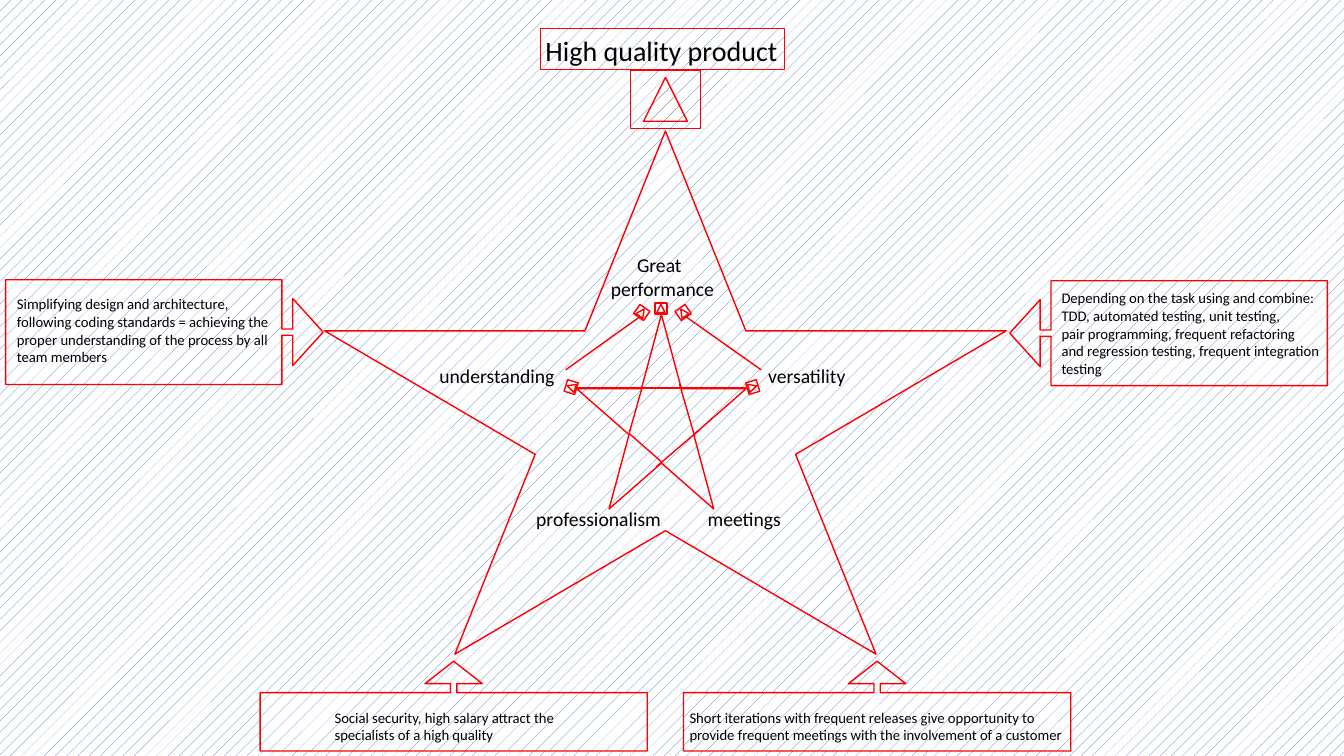
import dataclasses

import lxml.etree
import pptx
import pptx.dml.color
import pptx.enum.dml
import pptx.enum.shapes
import pptx.enum.text
import pptx.oxml.ns
import pptx.util

Inches = pptx.util.Inches
Kind = pptx.enum.shapes.MSO_SHAPE
Pattern = pptx.enum.dml.MSO_PATTERN
RGB = pptx.dml.color.RGBColor


@dataclasses.dataclass(frozen=True)
class Theme:
    """Colours, font and sizes of the slide."""
    red: RGB = RGB(0xFF, 0, 0)
    blue: RGB = RGB(0x44, 0x72, 0xC4)
    white: RGB = RGB(0xFF, 0xFF, 0xFF)
    black: RGB = RGB(0, 0, 0)
    font: str = "Calibri"
    head: float = 20
    label: float = 14
    note: float = 10.5
    line: float = 1


THEME = Theme()


def hatch(fill, kind):
    """Give a fill the blue-on-white pattern."""
    fill.patterned()
    fill.pattern = kind
    fill.fore_color.rgb = THEME.blue
    fill.back_color.rgb = THEME.white


def outline(line):
    """Draw a line in thin red."""
    line.color.rgb = THEME.red
    line.width = pptx.util.Pt(THEME.line)


def draw(slide, kind, box, turn=0, filled=True, adjust=()):
    """Add a red preset shape, hatched or hollow."""
    shape = slide.shapes.add_shape(kind, *map(Inches, box))
    shape.shadow.inherit = False
    shape.rotation = turn
    for i, value in enumerate(adjust):
        shape.adjustments[i] = value
    if filled:
        hatch(shape.fill, Pattern.PERCENT_5)
    else:
        shape.fill.background()
    outline(shape.line)


def link(slide, start, end):
    """Add a straight red line between two points."""
    line = slide.shapes.add_connector(
        pptx.enum.shapes.MSO_CONNECTOR.STRAIGHT, *map(Inches, start + end))
    outline(line.line)
    lxml.etree.SubElement(line.element.spPr, pptx.oxml.ns.qn("a:effectLst"))


def write(frame, lines, size):
    """Fill a text frame, one paragraph a line."""
    frame.word_wrap = True
    frame.auto_size = pptx.enum.text.MSO_AUTO_SIZE.SHAPE_TO_FIT_TEXT
    frame.vertical_anchor = pptx.enum.text.MSO_ANCHOR.TOP
    for i, text in enumerate(lines):
        para = frame.add_paragraph() if i else frame.paragraphs[0]
        para.alignment = pptx.enum.text.PP_ALIGN.LEFT
        run = para.add_run()
        run.text = text
        run.font.name = THEME.font
        run.font.size = pptx.util.Pt(size)
        run.font.color.rgb = THEME.black


def label(slide, box, lines, size):
    """Add a text box and return its frame."""
    frame = slide.shapes.add_textbox(*map(Inches, box)).text_frame
    write(frame, lines, size)
    return frame


def mark(slide, left, top, turn):
    """Add a small arrow button."""
    draw(slide, Kind.ACTION_BUTTON_FORWARD_OR_NEXT,
         (left, top, 0.11, 0.12), turn, filled=False)


def title(slide, box, text):
    """Place the title in front of everything else."""
    shape = slide.shapes.title
    shape.left, shape.top, shape.width, shape.height = map(Inches, box)
    write(shape.text_frame, [text], THEME.head)
    shape.element.getparent().append(shape.element)


def stars(slide):
    """Draw the outer star, its labels and the inner star."""
    draw(slide, Kind.STAR_5_POINT, (3.22, 1.3, 6.76, 5.19))
    top = label(slide, (5.96, 2.46, 2.12, 0.57),
                ["Great", "performance"], THEME.label)
    props = top.paragraphs[0]._p.get_or_add_pPr()
    props.set("marL", str(Inches(0.26)))
    props.set("indent", "0")
    for left, y, width, text in (
            (5.22, 4.98, 1.44, "professionalism"),
            (6.92, 4.98, 1.1, "meetings"),
            (7.52, 3.56, 1.68, "versatility"),
            (4.26, 3.56, 1.97, "understanding")):
        label(slide, (left, y, width, 0.34), [text], THEME.label)

    draw(slide, Kind.STAR_5_POINT, (5.72, 3.12, 1.68, 1.93), filled=False)
    for start, end in (
            ((6.89, 4.33), (6.74, 3.81)),
            ((6.37, 3.84), (6.24, 4.3)),
            ((5.72, 3.85), (7.4, 3.85)),
            ((6.57, 4.59), (6.24, 4.3)),
            ((6.51, 4.63), (6.93, 4.27)),
            ((5.61, 3.67), (6.35, 3.14)),
            ((7.55, 3.67), (6.8, 3.14))):
        link(slide, start, end)
    for left, y, turn in (
            (6.5, 3, 270), (5.61, 3.78, 197), (7.41, 3.78, 343),
            (6.31, 3.04, 305), (6.72, 3.04, 235)):
        mark(slide, left, y, turn)


def notes(slide):
    """Draw the four callouts and their texts."""
    wide = (0.07, 0.32, 0.25, 0.65)
    tall = (0.06, 0.32, 0.29, 0.87)
    for box, turn, adjust in (
            ((2.58, 6.56, 3.84, 0.89), 0, wide),
            ((6.78, 6.56, 3.84, 0.89), 0, wide),
            ((1.11, 1.72, 1.04, 3.15), 90, tall),
            ((11.07, 1.73, 1.04, 3.15), 270, tall)):
        draw(slide, Kind.UP_ARROW_CALLOUT, box, turn, adjust=adjust)
    for box, lines in (
            ((3.22, 6.98, 2.91, 0.45), [
                "Social security, high salary attract the "
                "specialists of a high quality"]),
            ((6.74, 6.98, 4.01, 0.45), [
                "Short iterations with frequent releases give opportunity to",
                "provide frequent meetings with the involvement of a customer"]),
            ((0.07, 2.88, 2.85, 0.81), [
                "Simplifying design and architecture, following coding "
                "standards = achieving the proper understanding of the "
                "process by all",
                "team members"]),
            ((10.43, 2.82, 3.22, 0.98), [
                "Depending on the task using and combine:",
                "TDD, automated testing, unit testing,",
                "pair programming, frequent refactoring",
                "and regression testing, frequent integration",
                "testing"])):
        label(slide, box, lines, THEME.note)


def main():
    """Build the slide and save it."""
    deck = pptx.Presentation()
    deck.slide_width = Inches(13.33)
    deck.slide_height = Inches(7.5)
    slide = deck.slides.add_slide(deck.slide_layouts.get_by_name("Title Only"))
    hatch(slide.background.fill, Pattern.PERCENT_10)
    stars(slide)
    draw(slide, Kind.ACTION_BUTTON_FORWARD_OR_NEXT,
         (6.31, 0.64, 0.58, 0.69), 270)
    notes(slide)
    draw(slide, Kind.RECTANGLE, (5.36, 0.28, 2.42, 0.41))
    title(slide, (5.31, 0.28, 2.51, 0.44), "High quality product")
    deck.save("out.pptx")


main()
